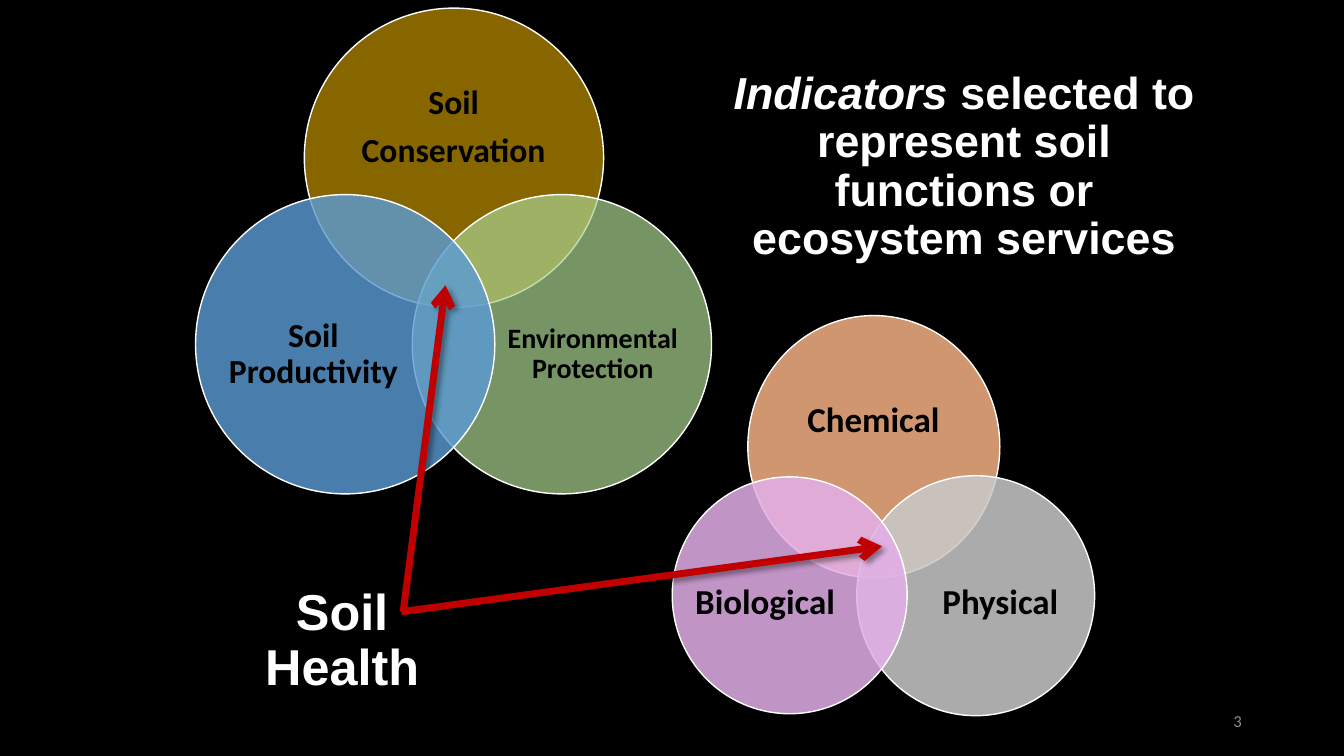
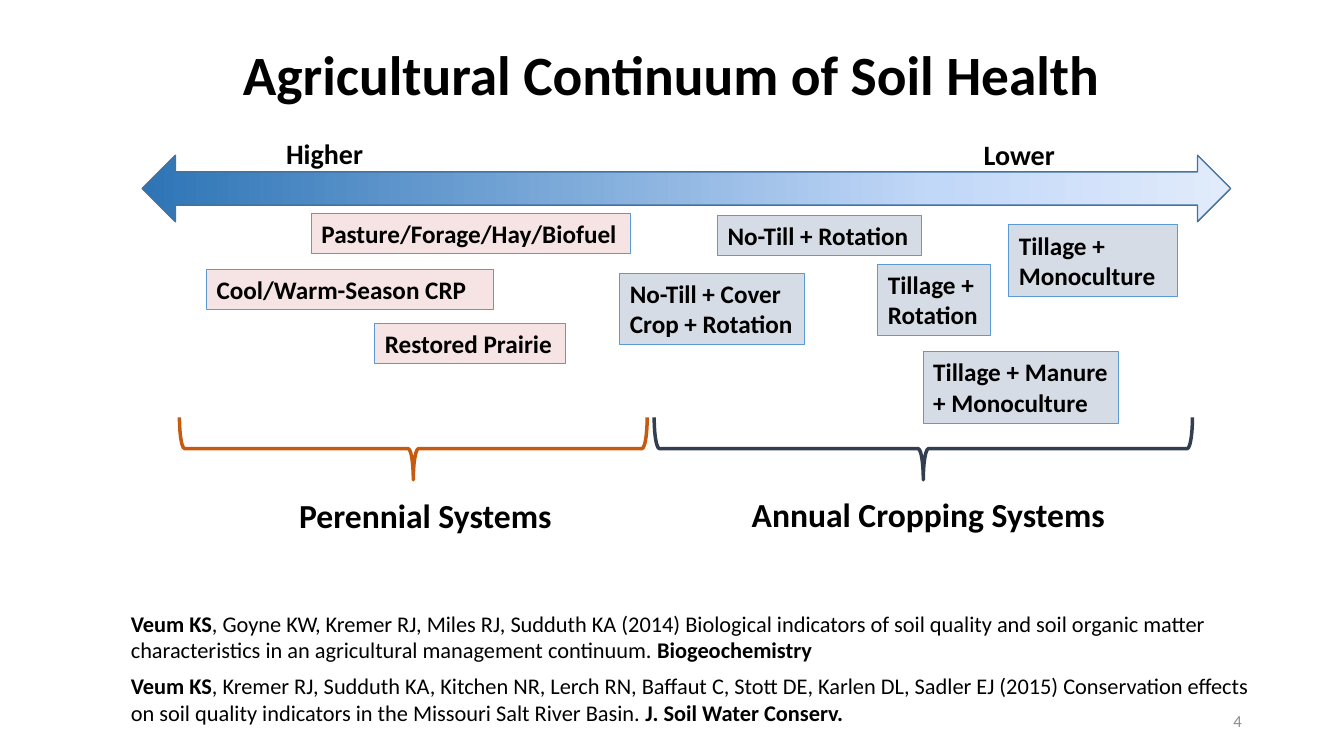
from dataclasses import dataclass

from lxml.etree import SubElement
from pptx import Presentation
from pptx.dml.color import RGBColor
from pptx.enum.shapes import MSO_CONNECTOR as Connector, MSO_SHAPE as Preset
from pptx.enum.text import MSO_ANCHOR as Anchor, MSO_AUTO_SIZE as AutoSize, PP_ALIGN as Align
from pptx.oxml.ns import qn
from pptx.util import Pt


@dataclass(frozen=True)
class Theme:
    black: str = "000000"
    white: str = "FFFFFF"
    grey: str = "8C8C8C"
    red: str = "C00000"
    perennial: str = "F5E4E3"
    annual: str = "D6DCE5"
    tag_line: str = "5B9BD5"
    arrow_line: str = "43739E"
    perennial_brace: str = "C55A11"
    annual_brace: str = "333F50"
    body: str = "Calibri"
    display: str = "Arial"
    title: float = 39.6
    statement: int = 32
    callout: int = 36
    system: int = 24
    end_label: int = 20
    tag: int = 18
    reference: int = 16
    number: int = 12


THEME = Theme()

STATEMENT = [[("Indicators ", True, True),
              ("selected to represent soil functions or ecosystem services", True, False)]]

PROPERTIES = [
    (["Chemical"], 25, (534.2, 225.4, 180, 187.2), (558, 258.5, 131.8, 84.2), "F4B183", 85),
    (["Physical"], 25, (612, 339.8, 169.9, 171.4), (663.8, 383.8, 101.5, 94.3), "C9C9C9", 85),
    (["Biological"], 25, (480.2, 340.6, 167.8, 169.2), (496.1, 384.5, 100.8, 92.9), "E3AFE9", 85),
]
SERVICES = [
    (["Soil", "Conservation"], 24, (217.4, 5.8, 213.8, 213.8), (245.5, 43.2, 157, 96.5),
     "BF9000", 71),
    (["Environmental Protection"], 20, (294.5, 139, 213.8, 213.8), (359.3, 194.4, 128.2, 117.4),
     "A9D18E", 71),
    (["Soil Productivity"], 24, (139.7, 139, 213.8, 213.8), (159.8, 194.4, 128.2, 117.4),
     "5B9BD5", 81),
]
POINTERS = [(288, 437, 318.2, 203.8), (286.6, 437, 630, 390.2)]

GRADIENT = [(0, "2E75B6"), (73, "C2D8F8"), (100, "E1EBFB")]
TAG_HEIGHTS = {1: 28.8, 2: 51.1}
TAGS = [
    ("Restored Prairie", 267.8, 231.1, 136.1, 1, THEME.perennial),
    ("No-Till + Cover Crop + Rotation", 442.8, 195.1, 131.8, 2, THEME.annual),
    ("Pasture/Forage/Hay/Biofuel", 222.5, 152.6, 228, 1, THEME.perennial),
    ("Tillage + Rotation", 627.1, 188.6, 80.6, 2, THEME.annual),
    ("Tillage + Monoculture", 720.7, 160.6, 120.2, 2, THEME.annual),
    ("No-Till + Rotation", 512.6, 154.1, 145.4, 1, THEME.annual),
    ("Cool/Warm-Season CRP", 147.6, 192.2, 205.2, 1, THEME.perennial),
    ("Tillage + Manure + Monoculture", 659.5, 251.3, 139.7, 2, THEME.annual),
]
LABELS = [
    ("Higher", (197.3, 94.3, 69.8, 31.7), THEME.end_label),
    ("Lower", (695.5, 95, 66.2, 31.7), THEME.end_label),
    ("Perennial Systems", (206.6, 349.9, 196.6, 36), THEME.system),
    ("Annual Cropping Systems", (529.9, 349.2, 269.3, 36), THEME.system),
]
BRACE_TOP, BRACE_DEPTH = 298.1, 44.6
BRACES = [(128.2, 334.1, THEME.perennial_brace), (467.3, 384.5, THEME.annual_brace)]
REFERENCES = [
    [("Veum KS", True, False),
     (", Goyne KW, Kremer RJ, Miles RJ, Sudduth KA (2014) Biological indicators of soil quality "
      "and soil organic matter characteristics in an agricultural management continuum. ",
      False, False),
     ("Biogeochemistry", True, False)],
    [("Veum KS", True, False),
     (", Kremer RJ, Sudduth KA, Kitchen NR, Lerch RN, Baffaut C, Stott DE, Karlen DL, Sadler EJ "
      "(2015) Conservation effects on soil quality indicators in the Missouri Salt River Basin. ",
      False, False),
     ("J. Soil Water Conserv.", True, False)],
]


def rgb(value):
    return RGBColor.from_string(value)


def points(values):
    return [Pt(value) for value in values]


def write(shape, paras, size, color=THEME.black, font=THEME.body, align=Align.LEFT,
          anchor=Anchor.TOP, leading=None, before=0, after=0, wrap=True, inset=None):
    frame = shape.text_frame
    frame.auto_size = AutoSize.NONE
    frame.word_wrap = wrap
    frame.vertical_anchor = anchor
    if inset is not None:
        frame.margin_left = frame.margin_right = Pt(inset)
        frame.margin_top = frame.margin_bottom = Pt(inset)
    for index, spans in enumerate(paras):
        para = frame.add_paragraph() if index else frame.paragraphs[0]
        para.alignment = align
        para.space_before = Pt(before if index else 0)
        para.space_after = Pt(after)
        if leading:
            para.line_spacing = leading
        if isinstance(spans, str):
            spans = [(spans, True, False)]
        for text, bold, italic in spans:
            span = para.add_run()
            span.text = text
            span.font.name, span.font.size = font, Pt(size)
            span.font.bold, span.font.italic = bold, italic
            span.font.color.rgb = rgb(color)


def add_preset(shapes, preset, place, line, weight, fill=None):
    shape = shapes.add_shape(preset, *points(place))
    shape.shadow.inherit = False
    if fill:
        shape.fill.solid()
        shape.fill.fore_color.rgb = rgb(fill)
    else:
        shape.fill.background()
    shape.line.color.rgb = rgb(line)
    shape.line.width = Pt(weight)
    return shape


def add_page(deck, background, title_place):
    page = deck.slides.add_slide(deck.slide_layouts[5])
    page.background.fill.solid()
    page.background.fill.fore_color.rgb = rgb(background)
    title = page.shapes.title
    title.left, title.top, title.width, title.height = points(title_place)
    return page


def add_number(page, number):
    box = page.shapes.add_textbox(*points((678.2, 500.4, 216, 28.8)))
    write(box, [[(str(number), False, False)]], THEME.number, THEME.grey,
          align=Align.RIGHT, anchor=Anchor.MIDDLE)


def add_venn(page, circles):
    group = page.shapes.add_group_shape()
    for paras, size, place, label_place, fill, opacity in circles:
        circle = add_preset(group.shapes, Preset.OVAL, place, THEME.white, 1, fill)
        color = circle._element.spPr.find(qn("a:solidFill")).find(qn("a:srgbClr"))
        SubElement(color, qn("a:alpha"), val=str(opacity * 1000))
        label = group.shapes.add_textbox(*points(label_place))
        write(label, paras, size, align=Align.CENTER, anchor=Anchor.MIDDLE,
              leading=0.9, after=round(size * 0.35, 1), inset=0)


def add_pointer(page, ends):
    pointer = page.shapes.add_connector(Connector.STRAIGHT, *points(ends))
    pointer.line.color.rgb = rgb(THEME.red)
    pointer.line.width = Pt(5)
    properties = pointer._element.spPr
    SubElement(properties.find(qn("a:ln")), qn("a:tailEnd"), type="arrow")
    effects = SubElement(properties, qn("a:effectLst"))
    shadow = SubElement(effects, qn("a:outerShdw"), blurRad=str(Pt(4)), dist=str(Pt(3)),
                        dir="2700000", algn="tl", rotWithShape="0")
    color = SubElement(shadow, qn("a:srgbClr"), val=THEME.black)
    SubElement(color, qn("a:alpha"), val="40000")


def add_continuum(page):
    arrow = add_preset(page.shapes, Preset.LEFT_RIGHT_ARROW, (101.5, 110.9, 777.6, 47.5),
                       THEME.arrow_line, 1)
    arrow.fill.gradient()
    arrow.fill.gradient_angle = 0
    stops = arrow._element.spPr.find(qn("a:gradFill")).find(qn("a:gsLst"))
    for stop in list(stops):
        stops.remove(stop)
    for position, color in GRADIENT:
        stop = SubElement(stops, qn("a:gs"), pos=str(position * 1000))
        SubElement(stop, qn("a:srgbClr"), val=color)


def add_brace(page, left, span, color):
    place = (left + (span - BRACE_DEPTH) / 2, BRACE_TOP + (BRACE_DEPTH - span) / 2,
             BRACE_DEPTH, span)
    brace = add_preset(page.shapes, Preset.LEFT_BRACE, place, color, 2.5)
    brace.rotation = 270


def build_indicators(deck):
    page = add_page(deck, THEME.black, (502.6, 53.3, 372.2, 132.5))
    write(page.shapes.title, STATEMENT, THEME.statement, THEME.white, THEME.display,
          Align.CENTER, Anchor.MIDDLE, leading=0.9)
    add_venn(page, PROPERTIES)
    add_venn(page, SERVICES)
    for ends in POINTERS:
        add_pointer(page, ends)
    callout = page.shapes.add_textbox(*points((177.8, 413.3, 133.2, 90)))
    write(callout, ["Soil Health"], THEME.callout, THEME.white, THEME.display,
          Align.CENTER, Anchor.MIDDLE, leading=0.9)
    add_number(page, 3)


def build_continuum(deck):
    page = add_page(deck, THEME.white, (166.3, 16.6, 648, 77.8))
    write(page.shapes.title, ["Agricultural Continuum of Soil Health"], THEME.title,
          anchor=Anchor.MIDDLE, leading=0.9)
    add_continuum(page)
    for text, left, top, width, lines, fill in TAGS:
        place = (left, top, width, TAG_HEIGHTS[lines])
        tag = add_preset(page.shapes, Preset.RECTANGLE, place, THEME.tag_line, 0.75, fill)
        write(tag, [text], THEME.tag)
    for text, place, size in LABELS:
        write(page.shapes.add_textbox(*points(place)), [text], size, wrap=False)
    for left, span, color in BRACES:
        add_brace(page, left, span, color)
    references = page.shapes.add_textbox(*points((86.4, 432, 825.1, 90.7)))
    write(references, REFERENCES, THEME.reference, before=6)
    add_number(page, 4)


def main():
    deck = Presentation()
    deck.slide_width, deck.slide_height = Pt(960), Pt(540)
    build_indicators(deck)
    build_continuum(deck)
    deck.save("out.pptx")


if __name__ == "__main__":
    main()
